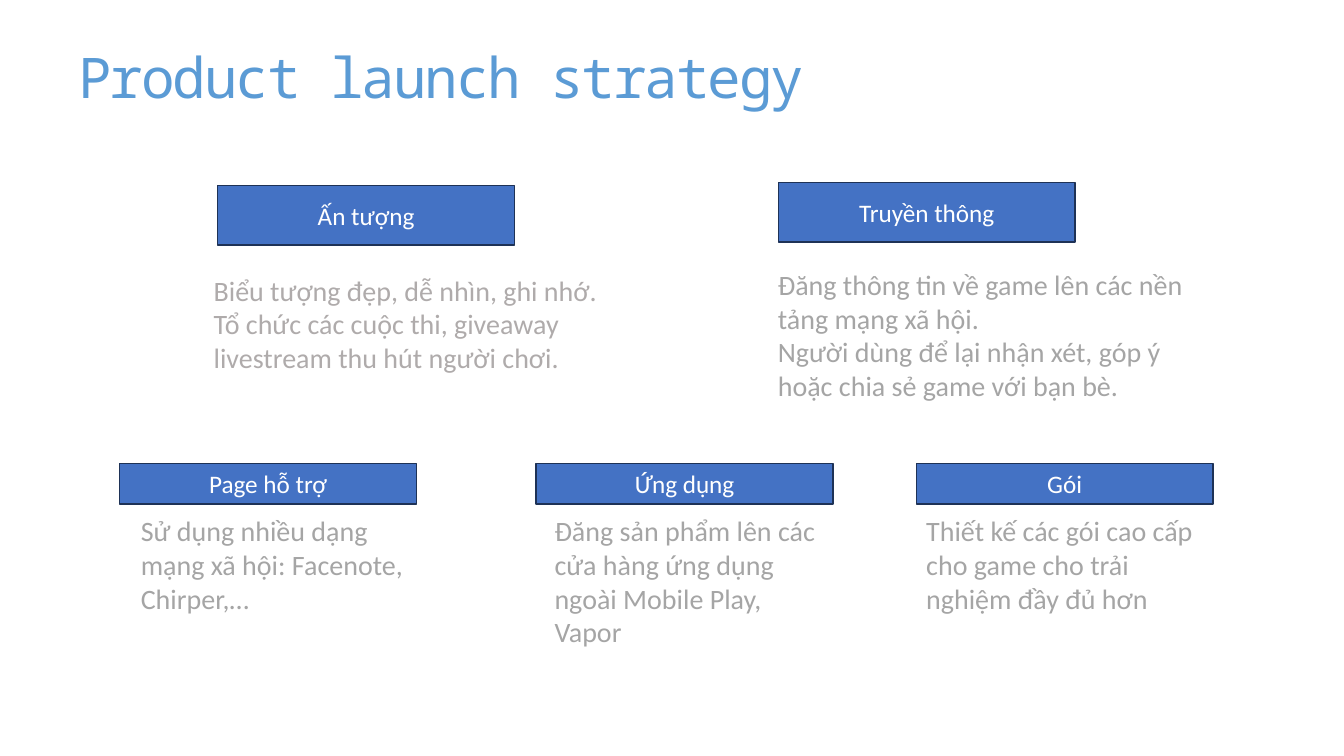
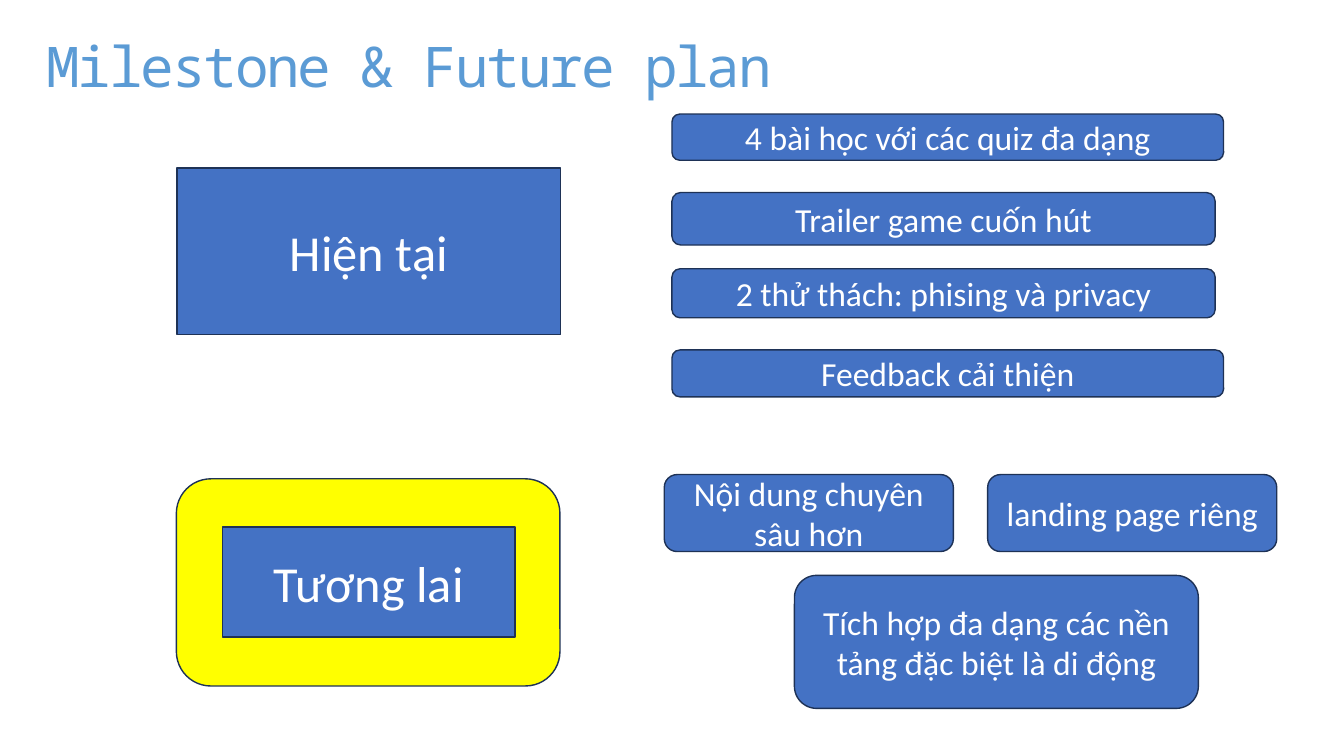
"""Build the two slides on launch strategy and future plan."""
from dataclasses import dataclass

from pptx import Presentation
from pptx.dml.color import RGBColor
from pptx.enum.shapes import MSO_SHAPE
from pptx.enum.text import MSO_ANCHOR, PP_ALIGN
from pptx.slide import Slide
from pptx.text.text import TextFrame
from pptx.util import Pt

RECT, ROUND = MSO_SHAPE.RECTANGLE, MSO_SHAPE.ROUNDED_RECTANGLE
TOP, MIDDLE = MSO_ANCHOR.TOP, MSO_ANCHOR.MIDDLE
LEFT, CENTER = PP_ALIGN.LEFT, PP_ALIGN.CENTER

COLORS = {
    "title": "5B9BD5",
    "box": "4472C4",
    "outline": "1E3256",
    "highlight": "FFFF00",
    "white": "FFFFFF",
    "gray": "A5A5A5",
    "warm_gray": "AFABAB",
}
BODY_FONT, TITLE_FONT = "Calibri", "Noto Sans Mono"
CARD_W = 212


@dataclass(frozen=True)
class Box:
    """A filled shape with an optional centred label."""
    text: str
    x: float
    y: float
    w: float
    h: float
    size: float = 24
    shape: MSO_SHAPE = ROUND
    fill: str = "box"


@dataclass(frozen=True)
class Card:
    """A heading box with body text below it."""
    head: str
    x: float
    y: float
    h: float
    body: str
    body_x: float
    body_y: float
    body_w: float
    body_h: float
    color: str = "gray"


CARDS = [
    Card("Ấn tượng", 155.5, 132.5, 42.5,
         "Biểu tượng đẹp, dễ nhìn, ghi nhớ.\n"
         "Tổ chức các cuộc thi, giveaway livestream thu hút người chơi.",
         145.5, 191.5, 317, 104, "warm_gray"),
    Card("Truyền thông", 556, 130.5, 42.5,
         "Đăng thông tin về game lên các nền tảng mạng xã hội.\n"
         "Người dùng để lại nhận xét, góp ý hoặc chia sẻ game với bạn bè.",
         548.5, 187.5, 317, 104),
] + [
    Card(head, x, 331, 29, body, body_x, 363.5, CARD_W, body_h)
    for head, x, body, body_x, body_h in [
        ("Page hỗ trợ", 85.5,
         "Sử dụng nhiều dạng mạng xã hội: Facenote, Chirper,…", 93.5, 80),
        ("Ứng dụng", 383,
         "Đăng sản phẩm lên các cửa hàng ứng dụng ngoài Mobile Play, Vapor",
         389, 104),
        ("Gói", 654.5,
         "Thiết kế các gói cao cấp cho game cho trải nghiệm đầy đủ hơn",
         654.5, 80),
    ]
]

PLAN = [
    Box("", 126, 342, 274, 148, fill="highlight"),
    Box("Hiện tại", 126.5, 120, 274, 119, 36, RECT),
    Box("Tương lai", 159, 376.5, 209, 78.5, 36, RECT),
    Box("4 bài học với các quiz đa dạng", 480, 81.5, 394, 33),
    Box("Trailer game cuốn hút", 480, 137.5, 388, 37.5),
    Box("2 thử thách: phising và privacy", 480, 192, 388, 35),
    Box("Feedback cải thiện", 480, 250, 394, 33.5),
    Box("Nội dung chuyên sâu hơn", 474.5, 339, 206.5, 55),
    Box("landing page riêng", 705.5, 339, 206.5, 55),
    Box("Tích hợp đa dạng các nền tảng đặc biệt là di động", 567.5, 411, 288.5, 95),
]


def rgb(name: str) -> RGBColor:
    """Return the named colour."""
    return RGBColor.from_string(COLORS[name])


def write(tf: TextFrame, text: str, *, size: float, color: str = "white",
          font: str = BODY_FONT, align: PP_ALIGN = LEFT, anchor: MSO_ANCHOR = TOP,
          line_spacing: float = 1.0, tracking: float = 0) -> None:
    """Write one paragraph per line of text in the given format."""
    tf.word_wrap = True
    tf.vertical_anchor = anchor
    for i, line in enumerate(text.split("\n")):
        p = tf.add_paragraph() if i else tf.paragraphs[0]
        p.alignment = align
        p.line_spacing = line_spacing
        r = p.add_run()
        r.text = line
        r.font.name = font
        r.font.size = Pt(size)
        r.font.color.rgb = rgb(color)
        if tracking:
            r.font._element.set("spc", str(round(tracking * 100)))


def add_text(s: Slide, text: str, x: float, y: float, w: float, h: float,
             **fmt) -> None:
    """Add a text box."""
    tb = s.shapes.add_textbox(Pt(x), Pt(y), Pt(w), Pt(h))
    write(tb.text_frame, text, **fmt)


def add_box(s: Slide, box: Box) -> None:
    """Add a filled, outlined shape with its label."""
    sp = s.shapes.add_shape(box.shape, Pt(box.x), Pt(box.y), Pt(box.w), Pt(box.h))
    sp.shadow.inherit = False
    sp.fill.solid()
    sp.fill.fore_color.rgb = rgb(box.fill)
    sp.line.color.rgb = rgb("outline")
    sp.line.width = Pt(1)
    if box.text:
        write(sp.text_frame, box.text, size=box.size, align=CENTER, anchor=MIDDLE)


def add_card(s: Slide, card: Card) -> None:
    """Add a heading box and its body text."""
    add_box(s, Box(card.head, card.x, card.y, CARD_W, card.h, 18, RECT))
    add_text(s, card.body, card.body_x, card.body_y, card.body_w, card.body_h,
             size=20, color=card.color)


def add_slide(prs: Presentation, title: str, x: float, y: float) -> Slide:
    """Add a blank slide with a title."""
    s = prs.slides.add_slide(prs.slide_layouts[6])
    add_text(s, title, x, y, 550, 56, size=40, color="title", font=TITLE_FONT,
             line_spacing=0.9, tracking=-1.5)
    return s


def main() -> None:
    """Build and save the presentation."""
    prs = Presentation()
    prs.slide_width, prs.slide_height = Pt(960), Pt(540)
    s = add_slide(prs, "Product launch strategy", 49, 32)
    for card in CARDS:
        add_card(s, card)
    s = add_slide(prs, "Milestone & Future plan", 26, 24.5)
    for box in PLAN:
        add_box(s, box)
    prs.save("out.pptx")


if __name__ == "__main__":
    main()
